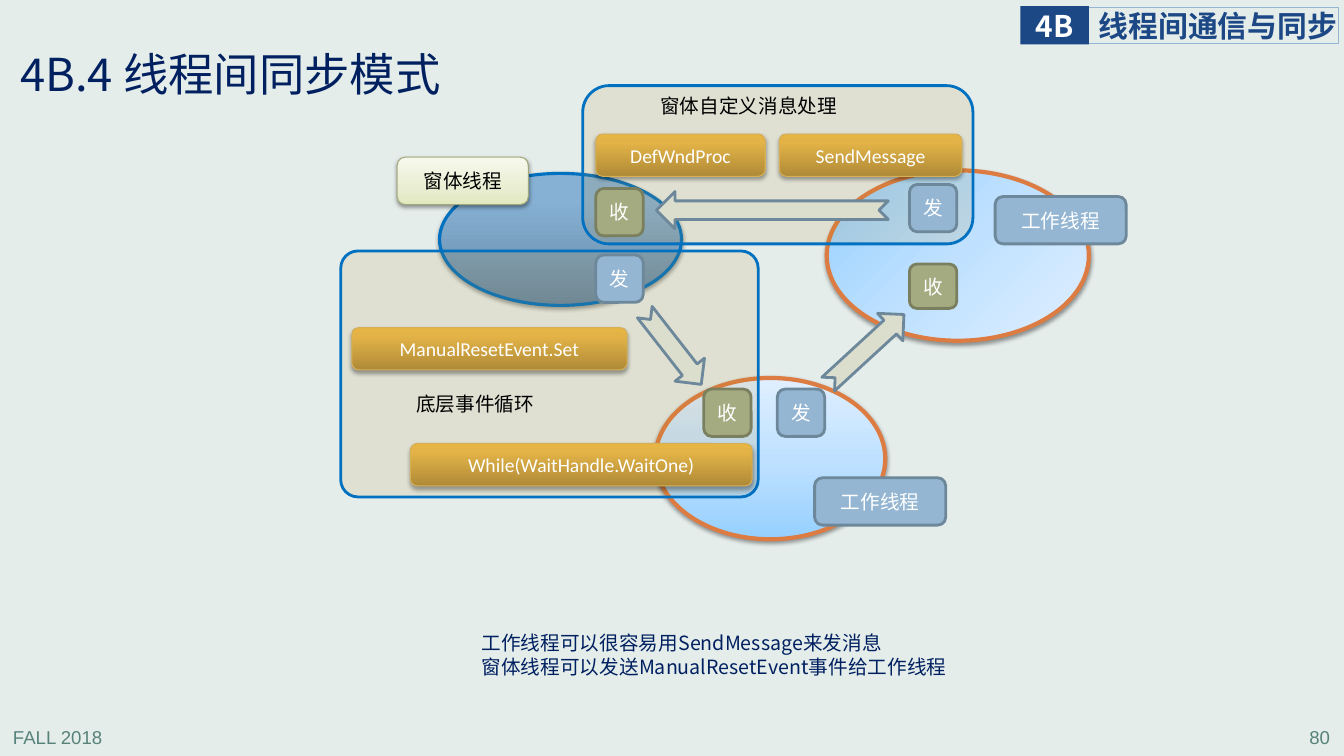
"""Builds a slide on synchronisation patterns between threads."""
from dataclasses import dataclass

from lxml import etree
from pptx import Presentation
from pptx.dml.color import RGBColor
from pptx.enum.shapes import MSO_SHAPE
from pptx.enum.text import MSO_ANCHOR, PP_ALIGN
from pptx.oxml.ns import qn
from pptx.util import Inches, Pt

RECT, ROUND = MSO_SHAPE.RECTANGLE, MSO_SHAPE.ROUNDED_RECTANGLE
OVAL, ARROW = MSO_SHAPE.OVAL, MSO_SHAPE.NOTCHED_RIGHT_ARROW
LEFT, CENTER, RIGHT = PP_ALIGN.LEFT, PP_ALIGN.CENTER, PP_ALIGN.RIGHT
TOP, MIDDLE = MSO_ANCHOR.TOP, MSO_ANCHOR.MIDDLE
TITLE_ONLY = 5


@dataclass(frozen=True)
class Look:
    """Fill, outline and text settings of one kind of shape."""
    fill: object = None
    line: str = None
    width: float = 2
    shadow: tuple = None
    ink: str = "FFFFFF"
    alpha: int = None
    radial: bool = False


class Theme:
    """Colours, fonts and type sizes of the slide."""
    cjk, latin, footer_font = "Noto Sans CJK SC", "Calibri", "Arial"
    title_size, section_size, footer_size, body_size = 32.4, 21.3, 13.3, 14
    background, navy, footer, black = "E5EDEB", "002060", "578279", "000000"
    soft, strong = (38, 1.6), (35, 1.8)
    sky = ((0, "96D0FF"), (50, "BFE1FF"), (100, "E0EFFF"))
    worker = Look(sky, "DC7C42", 3, soft)
    radial_worker = Look(sky, "DC7C42", 3, soft, radial=True)
    window = Look(((0, "6788A4"), (80, "86B1D4"), (100, "86B2D7")), "0070C0", 2.25, strong)
    panel = Look("BA8F2D", "0070C0", alpha=13)
    arrow = Look("DBDDCD", "6D879B")
    blue = Look("94B6D2", "6D879B")
    green = Look("A5AB81", "7A7F5F")
    gold = Look(((0, "AF8A37"), (80, "E3B347"), (100, "E7B544")), "D6AF57", 0.75, strong)
    cream = Look(((0, "E1E8BF"), (35, "E9EED2"), (100, "F7F9ED")), "A2A87D", 0.75, soft, "000000")
    section_name = Look(None, "94B6D2", 0.75, ink="1C4885")
    section_number = Look("1C4885")


def place(shape, box):
    """Move a shape to a box of left, top, width and height in inches."""
    shape.left, shape.top, shape.width, shape.height = map(Inches, box)


def add_color(parent, color, alpha=None):
    """Append a colour element, optionally with opacity in percent."""
    node = etree.SubElement(parent, qn("a:srgbClr"), val=color)
    if alpha is not None:
        etree.SubElement(node, qn("a:alpha"), val=str(alpha * 1000))


def set_gradient(shape, stops, radial):
    """Fill a shape with a gradient rising upwards or out of the top left corner."""
    shape.fill.solid()
    solid = shape._element.spPr.find(qn("a:solidFill"))
    gradient = etree.Element(qn("a:gradFill"), rotWithShape="1")
    stop_list = etree.SubElement(gradient, qn("a:gsLst"))
    for position, color in stops:
        add_color(etree.SubElement(stop_list, qn("a:gs"), pos=str(position * 1000)), color)
    if radial:
        path = etree.SubElement(gradient, qn("a:path"), path="circle")
        etree.SubElement(path, qn("a:fillToRect"), r="100000", b="100000")
    else:
        etree.SubElement(gradient, qn("a:lin"), ang="16200000", scaled="0")
    solid.getparent().replace(solid, gradient)


def set_shadow(shape, opacity, distance):
    """Give a shape a soft shadow that falls straight down."""
    effects = shape._element.spPr.find(qn("a:effectLst"))
    shadow = etree.SubElement(effects, qn("a:outerShdw"), blurRad=str(Pt(3.1)),
                              dist=str(Pt(distance)), dir="5400000", rotWithShape="0")
    add_color(shadow, Theme.black, opacity)


def write(shape, text, size, color, font=Theme.cjk, align=LEFT, anchor=MIDDLE, bold=False):
    """Put formatted text into a shape."""
    frame = shape.text_frame
    frame.text = text
    frame.vertical_anchor = anchor
    for paragraph in frame.paragraphs:
        paragraph.alignment = align
        for run in paragraph.runs:
            run.font.size, run.font.bold, run.font.name = Pt(size), bold, font
            run.font.color.rgb = RGBColor.from_string(color)
            etree.SubElement(run.font._element, qn("a:ea"), typeface=Theme.cjk)


def add_figure(slide, kind, box, look, rotation=0):
    """Draw a preset shape in one of the theme's looks."""
    shape = slide.shapes.add_shape(kind, *map(Inches, box))
    shape.rotation = rotation
    shape.shadow.inherit = False
    if look.fill is None:
        shape.fill.background()
    elif isinstance(look.fill, tuple):
        set_gradient(shape, look.fill, look.radial)
    else:
        shape.fill.solid()
        shape.fill.fore_color.rgb = RGBColor.from_string(look.fill)
        if look.alpha is not None:
            color = shape._element.spPr.find(qn("a:solidFill"))[0]
            etree.SubElement(color, qn("a:alpha"), val=str(look.alpha * 1000))
    if look.line:
        shape.line.color.rgb = RGBColor.from_string(look.line)
        shape.line.width = Pt(look.width)
    else:
        shape.line.fill.background()
    if look.shadow:
        set_shadow(shape, *look.shadow)
    return shape


def add_tag(slide, text, left, top, width, height, look, font=Theme.cjk):
    """Draw a rounded box with a centred label."""
    tag = add_figure(slide, ROUND, (left, top, width, height), look)
    write(tag, text, Theme.body_size, look.ink, font, CENTER)


def add_note(slide, text, box, color=Theme.black, wrap=True):
    """Add a plain text box."""
    note = slide.shapes.add_textbox(*map(Inches, box))
    note.text_frame.word_wrap = wrap
    write(note, text, Theme.body_size, color, anchor=TOP)


def add_frame(slide):
    """Add the footer line and the section heading."""
    for text, left, align in (("FALL 2018", 0.03, LEFT), ("80", 10.51, RIGHT)):
        footer = slide.shapes.add_textbox(*map(Inches, (left, 7.16, 2.78, 0.31)))
        footer.text_frame.word_wrap = True
        write(footer, text, Theme.footer_size, Theme.footer, Theme.footer_font, align)
    for text, box, look, inset, align in (
            ("线程间通信与同步", (10.78, 0.07, 2.5, 0.36), Theme.section_name, 0.12, LEFT),
            ("4B", (10.12, 0.06, 0.68, 0.38), Theme.section_number, 0, CENTER)):
        heading = add_figure(slide, RECT, box, look)
        frame = heading.text_frame
        frame.margin_left = Inches(inset)
        frame.margin_top = frame.margin_right = frame.margin_bottom = 0
        frame.word_wrap = False
        write(heading, text, Theme.section_size, look.ink, align=align, bold=True)


def add_title(slide, text):
    """Move and format the title placeholder."""
    title = slide.shapes.title
    place(title, (0.12, 0.39, 4.77, 0.74))
    frame = title.text_frame
    frame.margin_left = frame.margin_right = Inches(0.08)
    frame.margin_top = frame.margin_bottom = Inches(0.04)
    write(title, text, Theme.title_size, Theme.navy)
    frame.paragraphs[0].line_spacing = 0.9


def add_diagram(slide):
    """Draw the threads, the two mechanisms and the messages between them."""
    add_figure(slide, OVAL, (6.5, 3.75, 2.28, 1.6), Theme.worker)
    add_figure(slide, OVAL, (4.36, 1.72, 2.4, 1.31), Theme.window)
    event_panel = add_figure(slide, ROUND, (3.38, 2.49, 4.14, 2.44), Theme.panel)
    event_panel.adjustments[0] = 0.07
    add_figure(slide, OVAL, (8.2, 1.69, 2.6, 1.69), Theme.radial_worker)
    add_figure(slide, ROUND, (5.78, 0.85, 3.87, 1.57), Theme.panel)
    for left, top, length, rotation in ((6.51, 1.9, 2.3, 180), (8.08, 3.28, 1.02, 317.4),
                                        (6.22, 3.27, 0.91, 52)):
        add_figure(slide, ARROW, (left, top, length, 0.37), Theme.arrow, rotation)
    for text, left, top, look in (("工作线程", 9.87, 1.95, Theme.blue),
                                  ("工作线程", 8.08, 4.74, Theme.blue),
                                  ("窗体线程", 3.94, 1.56, Theme.cream)):
        add_tag(slide, text, left, top, 1.3, 0.47, look)
    for left, top in ((9.02, 1.83), (7.71, 3.86), (5.91, 2.53)):
        add_tag(slide, "发", left, top, 0.47, 0.47, Theme.blue)
    for left, top, height in ((5.91, 1.87, 0.47), (9.02, 2.62, 0.44), (6.98, 3.86, 0.47)):
        add_tag(slide, "收", left, top, 0.47, height, Theme.green)
    for call, left, top, width in (("SendMessage", 7.73, 1.33, 1.81),
                                   ("DefWndProc", 5.91, 1.33, 1.68),
                                   ("ManualResetEvent.Set", 3.49, 3.25, 2.73),
                                   ("While(WaitHandle.WaitOne)", 4.07, 4.4, 3.39)):
        add_tag(slide, call, left, top, width, 0.42, Theme.gold, Theme.latin)
    add_note(slide, "窗体自定义消息处理", (6.45, 0.88, 2.47, 0.4))
    add_note(slide, "底层事件循环", (4.03, 3.84, 1.73, 0.4))


def main():
    """Build and save the slide."""
    deck = Presentation()
    deck.slide_width, deck.slide_height = Inches(13.33), Inches(7.5)
    slide = deck.slides.add_slide(deck.slide_layouts[TITLE_ONLY])
    slide.background.fill.solid()
    slide.background.fill.fore_color.rgb = RGBColor.from_string(Theme.background)
    add_frame(slide)
    add_title(slide, "4B.4 线程间同步模式")
    add_diagram(slide)
    add_note(slide, "工作线程可以很容易用SendMessage来发消息\n"
             "窗体线程可以发送ManualResetEvent事件给工作线程",
             (4.68, 6.21, 4.94, 0.57), Theme.navy, wrap=False)
    deck.save("out.pptx")


if __name__ == "__main__":
    main()
